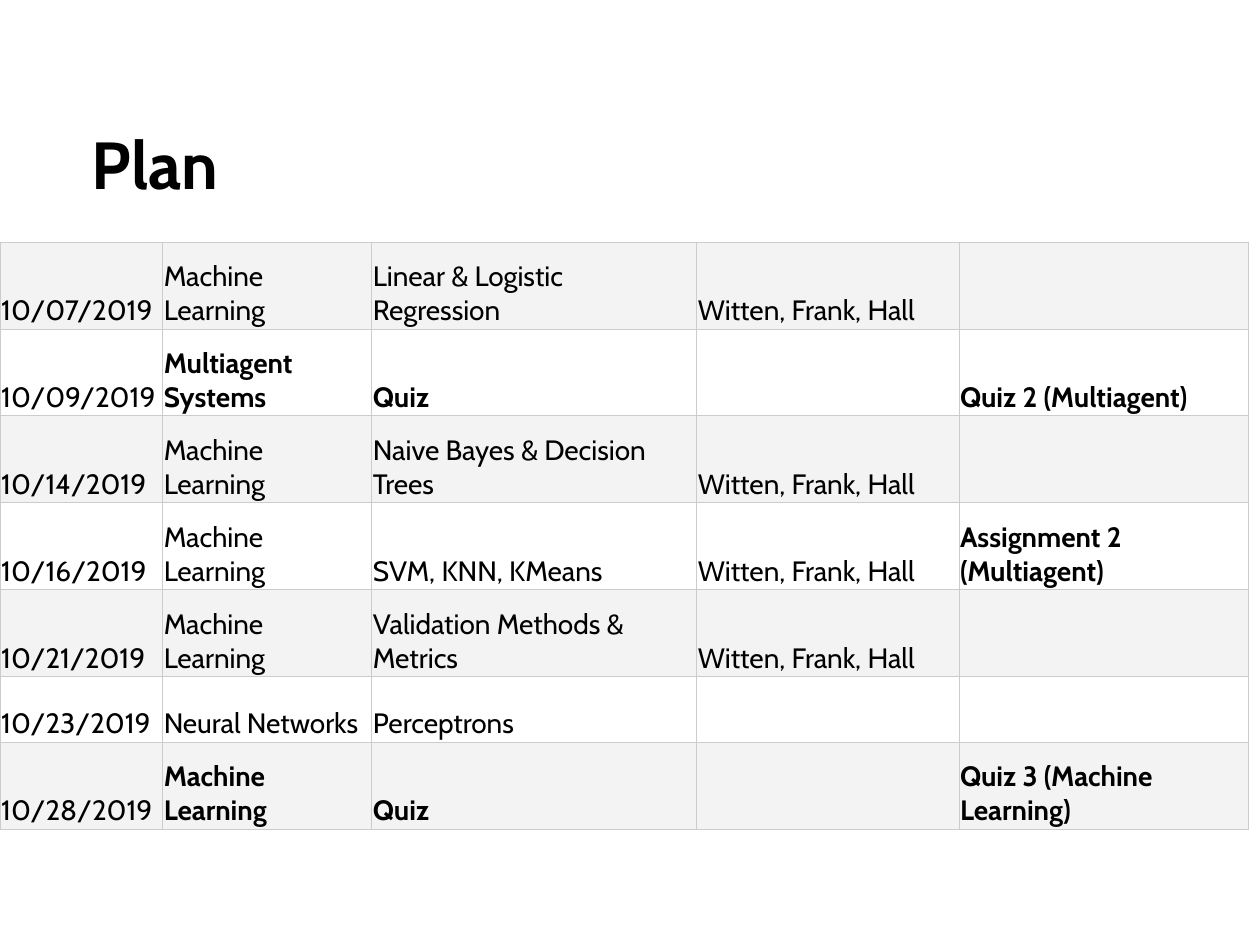
from dataclasses import dataclass

from lxml import etree
from pptx import Presentation
from pptx.dml.color import RGBColor
from pptx.enum.text import MSO_ANCHOR
from pptx.oxml.ns import qn
from pptx.table import _Cell
from pptx.text.text import TextFrame
from pptx.util import Inches, Pt

BOTTOM = MSO_ANCHOR.BOTTOM
FONT = "Cabin"
BLACK = RGBColor(0x00, 0x00, 0x00)
WHITE = RGBColor(0xFF, 0xFF, 0xFF)
BAND = RGBColor(0xF3, 0xF3, 0xF3)
BORDER = RGBColor(0xCC, 0xCC, 0xCC)
BORDER_WIDTH = Pt(0.38)
CELL_INSET = Inches(0.01)
COLUMN_WIDTHS = (1.29, 1.66, 2.58, 2.08, 2.3)


@dataclass(frozen=True)
class Session:
    date: str
    subject: str
    topic: str
    reading: str = ""
    due: str = ""
    is_quiz: bool = False
    height: float = 0.69

    def cells(self) -> list[tuple[str, bool]]:
        """Return each cell's text and whether it is bold."""
        return [
            (self.date, False),
            (self.subject, self.is_quiz),
            (self.topic, self.is_quiz),
            (self.reading, False),
            (self.due, True),
        ]


LEARNING = "Machine Learning"
BOOK = "Witten, Frank, Hall"
SESSIONS = (
    Session("10/07/2019", LEARNING, "Linear & Logistic Regression", BOOK),
    Session("10/09/2019", "Multiagent Systems", "Quiz",
            due="Quiz 2 (Multiagent)", is_quiz=True),
    Session("10/14/2019", LEARNING, "Naive Bayes & Decision Trees", BOOK),
    Session("10/16/2019", LEARNING, "SVM, KNN, KMeans", BOOK,
            due="Assignment 2 (Multiagent)"),
    Session("10/21/2019", LEARNING, "Validation Methods & Metrics", BOOK),
    Session("10/23/2019", "Neural Networks", "Perceptrons", height=0.52),
    Session("10/28/2019", LEARNING, "Quiz",
            due="Quiz 3 (Machine Learning)", is_quiz=True),
)


def write(frame: TextFrame, text: str, *, size: float, bold: bool = False) -> None:
    frame.word_wrap = True
    para = frame.paragraphs[0]
    para.font.size = Pt(size)
    if text:
        span = para.add_run()
        span.text = text
        span.font.name = FONT
        span.font.size = Pt(size)
        span.font.bold = bold
        span.font.color.rgb = BLACK


def add_borders(cell: _Cell) -> None:
    properties = cell._tc.get_or_add_tcPr()
    for side in ("a:lnL", "a:lnR", "a:lnT", "a:lnB"):
        line = etree.SubElement(properties, qn(side), w=str(BORDER_WIDTH))
        fill = etree.SubElement(line, qn("a:solidFill"))
        etree.SubElement(fill, qn("a:srgbClr"), val=str(BORDER))


def format_cell(cell: _Cell, fill: RGBColor) -> None:
    cell.margin_left = cell.margin_right = CELL_INSET
    cell.margin_top = cell.margin_bottom = CELL_INSET
    cell.vertical_anchor = BOTTOM
    add_borders(cell)
    cell.fill.solid()
    cell.fill.fore_color.rgb = fill


def add_title(page, text: str) -> None:
    box = page.shapes.add_textbox(
        Inches(0.63), Inches(0.33), Inches(8.75), Inches(1.33))
    box.text_frame.vertical_anchor = BOTTOM
    write(box.text_frame, text, size=38, bold=True)


def add_schedule(page, sessions: tuple[Session, ...]) -> None:
    table = page.shapes.add_table(
        len(sessions), len(COLUMN_WIDTHS), Inches(0), Inches(1.92),
        Inches(sum(COLUMN_WIDTHS)),
        Inches(sum(session.height for session in sessions))).table
    table.first_row = False
    table.horz_banding = False
    for column, width in zip(table.columns, COLUMN_WIDTHS):
        column.width = Inches(width)
    for index, (row, session) in enumerate(zip(table.rows, sessions)):
        row.height = Inches(session.height)
        for cell, (text, bold) in zip(row.cells, session.cells()):
            format_cell(cell, WHITE if index % 2 else BAND)
            write(cell.text_frame, text, size=16, bold=bold)


def main() -> None:
    deck = Presentation()
    deck.slide_width = Inches(10)
    deck.slide_height = Inches(7.5)
    page = deck.slides.add_slide(deck.slide_layouts[6])
    add_title(page, "Plan")
    add_schedule(page, SESSIONS)
    deck.save("out.pptx")


if __name__ == "__main__":
    main()
